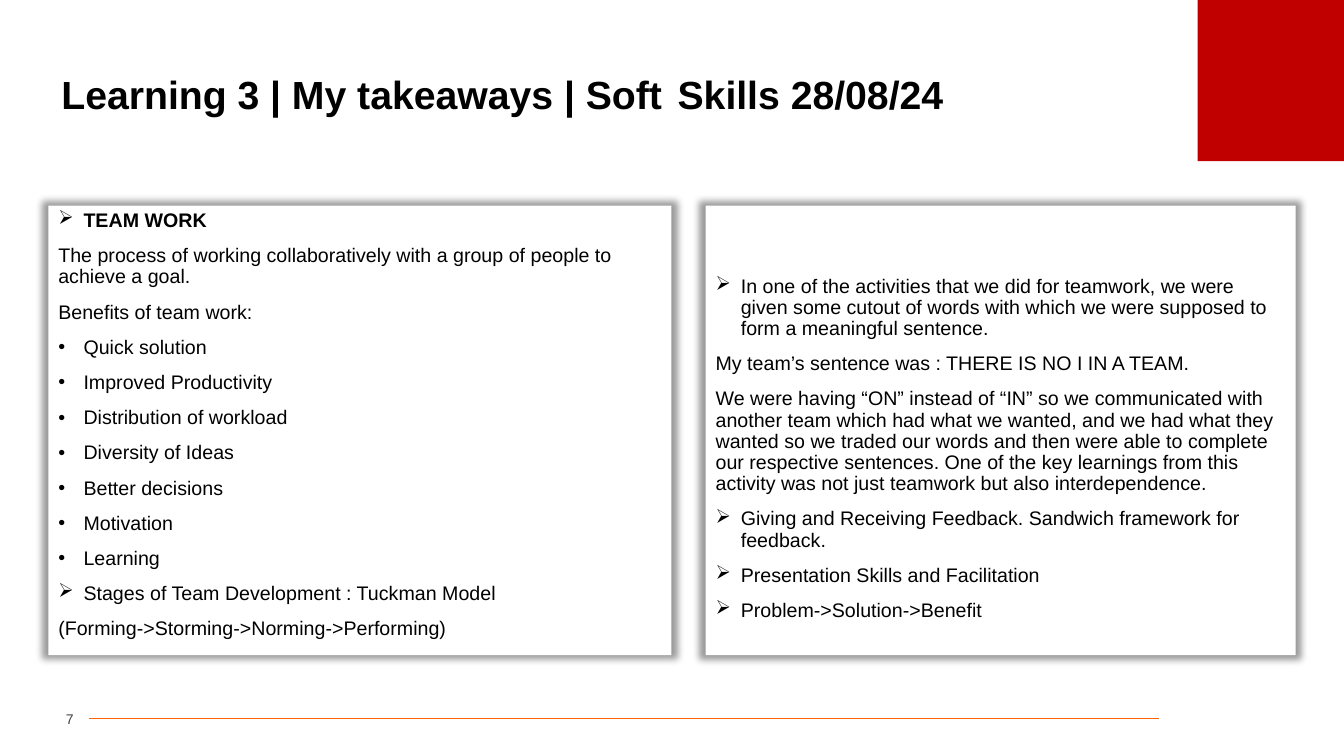
from lxml.etree import SubElement
from pptx import Presentation
from pptx.dml.color import RGBColor
from pptx.enum.shapes import MSO_CONNECTOR, MSO_SHAPE
from pptx.enum.text import MSO_ANCHOR, PP_ALIGN
from pptx.oxml.ns import qn
from pptx.util import Inches, Pt

WIDTH, HEIGHT = Inches(13.33), Inches(7.5)
BLACK, WHITE, RED, ORANGE, GREY = "000000", "FFFFFF", "C00000", "FF6600", "404040"
ARROW, DOT, PLAIN = "➢", "•", None
PANEL_TOP, PANEL_HEIGHT = 27.2, 59.47

TEAM_WORK = [
    (ARROW, "TEAM WORK", True),
    (PLAIN, "The process of working collaboratively with a group of people to achieve a goal.", False),
    (PLAIN, "Benefits of team work:", False),
    (DOT, "Quick solution", False),
    (DOT, "Improved Productivity", False),
    (DOT, "Distribution of workload", False),
    (DOT, "Diversity of Ideas", False),
    (DOT, "Better decisions", False),
    (DOT, "Motivation", False),
    (DOT, "Learning", False),
    (ARROW, "Stages of Team Development : Tuckman Model", False),
    (PLAIN, "(Forming->Storming->Norming->Performing)", False),
]
ACTIVITIES = [
    (ARROW, "In one of the activities that we did for teamwork, we were given some cutout of "
            "words with which we were supposed to form a meaningful sentence.", False),
    (PLAIN, "My team’s sentence was : THERE IS NO I IN A TEAM.", False),
    (PLAIN, "We were having “ON” instead of “IN” so we communicated with another team which had "
            "what we wanted, and we had what they wanted so we traded our words and then were able "
            "to complete our respective sentences. One of the key learnings from this activity was "
            "not just teamwork but also interdependence.", False),
    (ARROW, "Giving and Receiving Feedback. Sandwich framework for feedback.", False),
    (ARROW, "Presentation Skills and Facilitation", False),
    (ARROW, "Problem->Solution->Benefit", False),
]


def color(value):
    return RGBColor.from_string(value)


def across(percent):
    return round(WIDTH * percent / 100)


def down(percent):
    return round(HEIGHT * percent / 100)


def place(left, top, width, height):
    return across(left), down(top), across(width), down(height)


def add_run(paragraph, text, size, bold=False, ink=BLACK):
    run = paragraph.add_run()
    run.text = text
    run.font.name = "Arial"
    run.font.size = Pt(size)
    run.font.bold = bold
    run.font.color.rgb = color(ink)


def add_block(slide, area, fill):
    block = slide.shapes.add_shape(MSO_SHAPE.RECTANGLE, *place(*area))
    block.shadow.inherit = False
    block.fill.solid()
    block.fill.fore_color.rgb = color(fill)
    block.line.fill.background()
    return block


def add_label(slide, area, runs, ink=BLACK):
    label = slide.shapes.add_textbox(*place(*area))
    frame = label.text_frame
    frame.word_wrap = True
    frame.vertical_anchor = MSO_ANCHOR.MIDDLE
    paragraph = frame.paragraphs[0]
    for text, size, bold in runs:
        add_run(paragraph, text, size, bold, ink)
    return frame


def add_glow(panel):
    effects = panel.fill._xPr.find(qn("a:effectLst"))
    shadow = SubElement(effects, qn("a:outerShdw"), blurRad=str(Pt(5)), sx="102000",
                        sy="102000", algn="ctr", rotWithShape="0")
    tint = SubElement(shadow, qn("a:srgbClr"), val=BLACK)
    SubElement(tint, qn("a:alpha"), val="40000")


def set_bullet(paragraph, mark):
    properties = paragraph._p.get_or_add_pPr()
    if mark is PLAIN:
        SubElement(properties, qn("a:buNone"))
        return
    properties.set("marL", str(Inches(0.25)))
    properties.set("indent", str(Inches(-0.25)))
    SubElement(properties, qn("a:buFont"), typeface="Wingdings" if mark == ARROW else "Arial")
    SubElement(properties, qn("a:buChar"), char="Ø" if mark == ARROW else mark)


def add_panel(slide, left, width, points, top_inset):
    panel = add_block(slide, (left, PANEL_TOP, width, PANEL_HEIGHT), WHITE)
    add_glow(panel)
    frame = panel.text_frame
    frame.word_wrap = True
    frame.vertical_anchor = MSO_ANCHOR.TOP
    frame.margin_top = Inches(top_inset)
    for index, (mark, text, bold) in enumerate(points):
        paragraph = frame.add_paragraph() if index else frame.paragraphs[0]
        paragraph.alignment = PP_ALIGN.LEFT
        paragraph.line_spacing = 0.9
        paragraph.space_before = Pt(10)
        set_bullet(paragraph, mark)
        add_run(paragraph, text, 14, bold)


def add_footer(slide):
    rule = slide.shapes.add_connector(
        MSO_CONNECTOR.STRAIGHT, across(6.6), down(95.07), across(86.27), down(95.07))
    rule.line.color.rgb = color(ORANGE)
    rule.line.width = Pt(0.5)
    SubElement(rule._element.spPr, qn("a:effectLst"))
    number = add_label(slide, (2.48, 93.2, 3, 3.87), [("7", 10, False)], GREY)
    number.margin_left = number.margin_right = 0
    number.paragraphs[0].alignment = PP_ALIGN.RIGHT


def main():
    deck = Presentation()
    deck.slide_width, deck.slide_height = WIDTH, HEIGHT
    slide = deck.slides.add_slide(deck.slide_layouts[6])
    add_footer(slide)
    add_block(slide, (89.1, 0, 10.9, 21.33), RED)
    title = add_label(slide, (3.83, 6.93, 92.35, 10.4), [
        ("Learning 3 | My takeaways | Soft", 28, True),
        (" ", 40, True),
        ("Skills 28/08/24", 28, True),
    ])
    title.paragraphs[0].line_spacing = 0.9
    add_panel(slide, 3.6, 46.36, TEAM_WORK, 0.05)
    add_panel(slide, 52.51, 43.89, ACTIVITIES, 0.7)
    deck.save("out.pptx")


if __name__ == "__main__":
    main()
